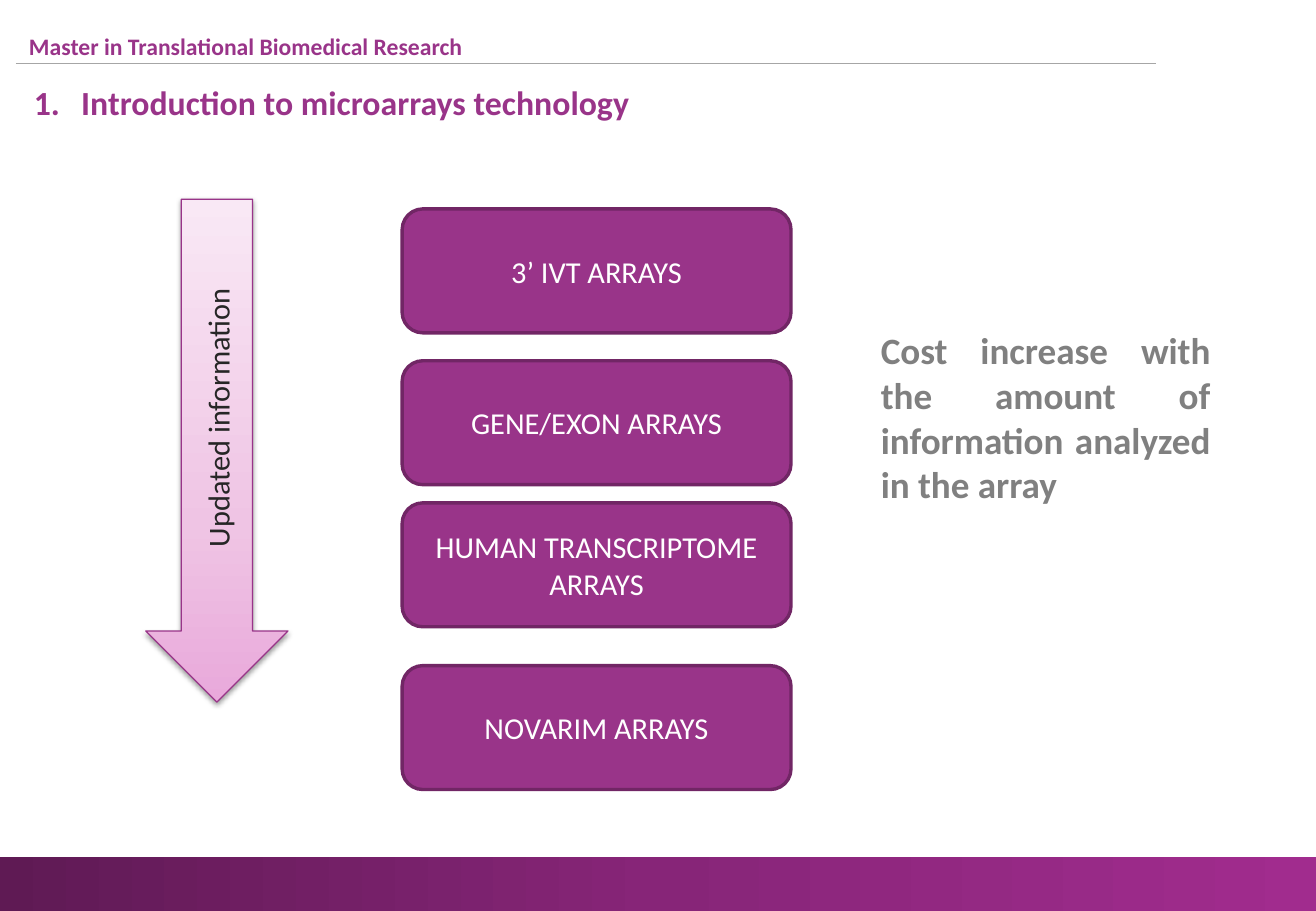
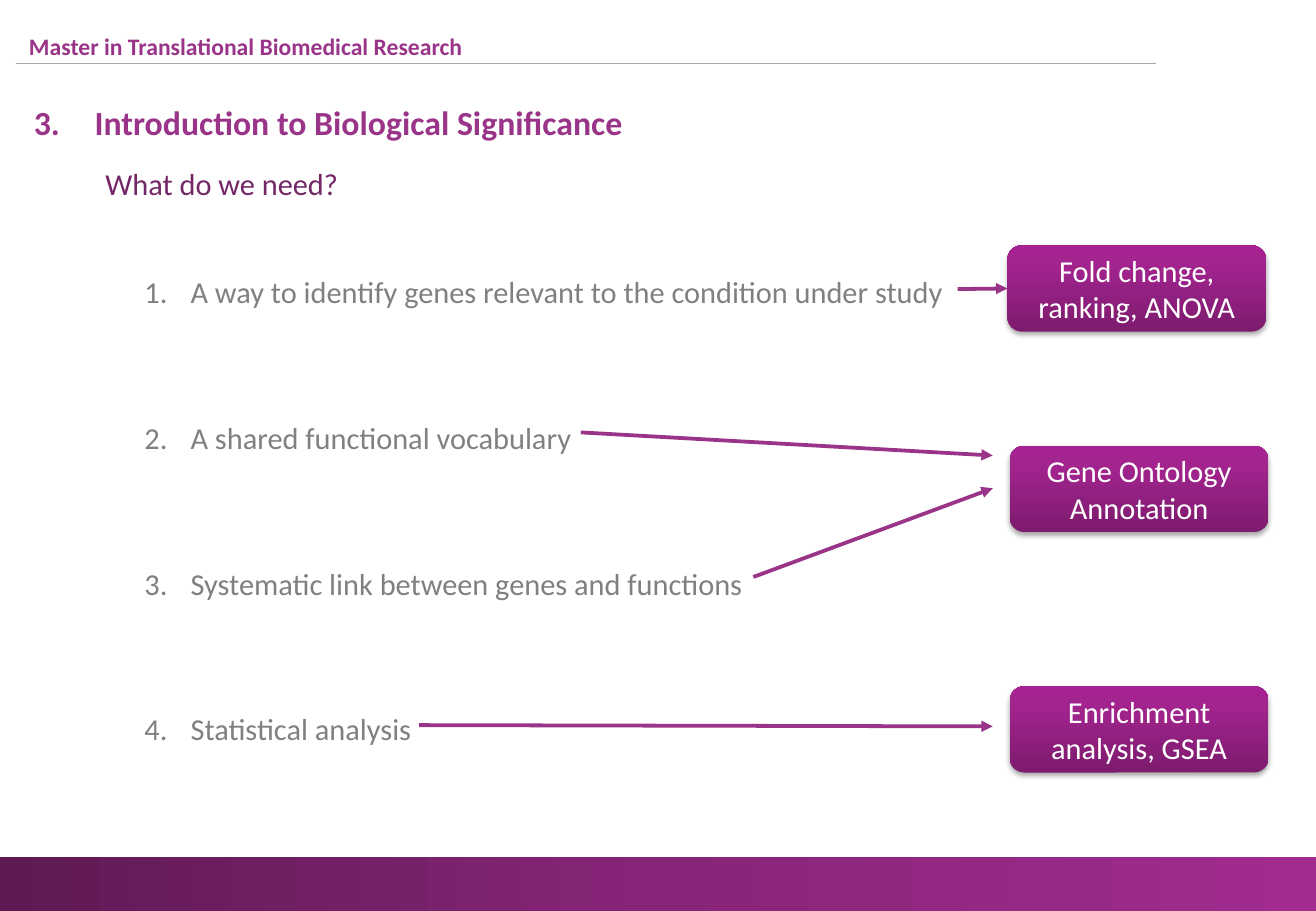
from pptx import Presentation
from pptx.dml.color import RGBColor
from pptx.enum.shapes import MSO_CONNECTOR as Conn, MSO_SHAPE as Geo
from pptx.enum.text import MSO_ANCHOR as Anchor, MSO_AUTO_SIZE as Fit, PP_ALIGN as Align
from pptx.oxml import parse_xml
from pptx.oxml.ns import nsdecls, qn
from pptx.util import Inches, Pt
from lxml.etree import SubElement as Sub

FONT = "Calibri"
PLUM, EDGE, DARK = "993489", "712665", "732767"
GREY, INK, WHITE, RULE = "808080", "262626", "FFFFFF", "A6A6A6"
BAND = [(0, "5F1A54"), (50, "872578"), (100, "A12C8E")]
PINK = [(0, "E9A9DB"), (35, "EFC4E4"), (100, "F9E8F5")]
GLOSS = [(0, "7D1B6E"), (80, "A3248F"), (100, "A62191")]


def rgb(code):
    return RGBColor.from_string(code)


def style(frame, text, size, color, bold=False, align=Align.LEFT):
    frame.text = text
    for para in frame.paragraphs:
        para.alignment = align
        for run in para.runs:
            font = run.font
            font.name, font.size, font.bold = FONT, Pt(size), bold
            font.color.rgb = rgb(color)


def label(slide, place, text, size, color, bold=False, align=Align.LEFT, wrap=True):
    box = slide.shapes.add_textbox(*map(Inches, place))
    frame = box.text_frame
    frame.word_wrap = wrap
    frame.auto_size = Fit.SHAPE_TO_FIT_TEXT
    style(frame, text, size, color, bold, align)
    return box


def number(paras, indent, start=1):
    """Give the paragraphs automatic numbers with a hanging indent."""
    for para in paras:
        props = para._p.get_or_add_pPr()
        props.set("marL", str(Inches(indent)))
        props.set("indent", str(-Inches(indent)))
        auto = Sub(props, qn("a:buAutoNum"), type="arabicPeriod")
        if start > 1:
            auto.set("startAt", str(start))


def blend(shape, stops, angle):
    """Fill with a gradient of (percent, colour) stops; angle is counterclockwise."""
    shape.fill.gradient()
    shape.fill.gradient_angle = angle
    holder = shape.element.spPr.find(".//" + qn("a:gsLst"))
    for old in list(holder):
        holder.remove(old)
    for spot, color in stops:
        stop = Sub(holder, qn("a:gs"), pos=str(spot * 1000))
        Sub(stop, qn("a:srgbClr"), val=color)


def shade(shape, alpha, dist):
    effects = shape.element.spPr.find(qn("a:effectLst"))
    effects.append(parse_xml(
        f'<a:outerShdw {nsdecls("a")} blurRad="{Pt(3.1)}" dist="{Pt(dist)}" '
        f'dir="5400000" rotWithShape="0"><a:srgbClr val="000000">'
        f'<a:alpha val="{alpha * 1000}"/></a:srgbClr></a:outerShdw>'))


def block(slide, geo, place, edge=None, width=0):
    shape = slide.shapes.add_shape(geo, *map(Inches, place))
    shape.shadow.inherit = False
    if edge:
        shape.line.color.rgb = rgb(edge)
        shape.line.width = Pt(width)
    else:
        shape.line.fill.background()
    return shape


def card(slide, place, text, edge=None):
    """Rounded box: flat with an outline, or glossy with a shadow."""
    shape = block(slide, Geo.ROUNDED_RECTANGLE, place, edge, 2)
    if edge:
        shape.fill.solid()
        shape.fill.fore_color.rgb = rgb(PLUM)
    else:
        blend(shape, GLOSS, 90)
        shade(shape, 35, 1.8)
    frame = shape.text_frame
    frame.word_wrap = True
    frame.vertical_anchor = Anchor.MIDDLE
    style(frame, text, 18, WHITE, align=Align.CENTER)
    return shape


def line(slide, start, end, color=PLUM, width=2.25, head=True):
    link = slide.shapes.add_connector(Conn.STRAIGHT, *map(Inches, start + end))
    link.line.color.rgb = rgb(color)
    link.line.width = Pt(width)
    props = link.element.spPr
    if head:
        Sub(props.find(qn("a:ln")), qn("a:tailEnd"), type="triangle")
    Sub(props, qn("a:effectLst"))
    return link


def page(deck):
    """Add a slide with the shared band, rule and course name."""
    slide = deck.slides.add_slide(deck.slide_layouts[6])
    blend(block(slide, Geo.RECTANGLE, (0, 7.06, 10.83, 0.44)), BAND, 0)
    line(slide, (0.13, 0.52), (9.51, 0.52), RULE, 0.75, head=False)
    label(slide, (0.14, 0.21, 7.01, 0.34),
          "Master in Translational Biomedical Research", 14, PLUM, True)
    return slide


def title(slide, text, size, indent, start=1, spacing=None):
    box = label(slide, (0.18, 0.62, *size), text, 20, PLUM, True, wrap=False)
    para = box.text_frame.paragraphs[0]
    para.line_spacing = spacing
    number([para], indent, start)


def arrays(deck):
    slide = page(deck)
    title(slide, "Introduction to microarrays technology", (5.15, 0.44), 0.39)
    arrow = block(slide, Geo.DOWN_ARROW, (1.2, 1.64, 1.17, 4.14), PLUM, 0.75)
    blend(arrow, PINK, 90)
    shade(arrow, 38, 1.6)
    label(slide, (0.61, 3.24, 2.36, 0.4), "Updated information", 18, INK,
          align=Align.CENTER, wrap=False).rotation = 270
    for top, text in ((1.72, "3’ IVT ARRAYS"), (2.97, "GENE/EXON ARRAYS"),
                      (4.14, "HUMAN TRANSCRIPTOME ARRAYS"), (5.48, "NOVARIM ARRAYS")):
        card(slide, (3.31, top, 3.2, 1.02), text, EDGE)
    label(slide, (7.15, 2.65, 2.91, 1.58),
          "Cost increase with the amount of information analyzed in the array",
          22, GREY, True, Align.JUSTIFY)


def needs(deck):
    slide = page(deck)
    title(slide, "Introduction to Biological Significance", (5.09, 0.55), 0.5, 3, 1.5)
    label(slide, (0.77, 1.31, 8.66, 0.4), "What do we need?", 18, DARK)
    steps = ("A way to identify genes relevant to the condition under study",
             "A shared functional vocabulary",
             "Systematic link between genes and functions",
             "Statistical analysis")
    box = label(slide, (1.09, 1.9, 8.98, 4.95), "\n".join(steps), 18, GREY)
    paras = box.text_frame.paragraphs
    for para in paras:
        para.line_spacing = 2.0
    for para in paras[1:]:
        para.space_before = Pt(43.2)
    number(paras, 0.38)

    size = (2.13, 0.71)
    tests = card(slide, (8.29, 2.02, *size), "Fold change, ranking, ANOVA")
    card(slide, (8.31, 3.67, *size), "Gene Ontology\nAnnotation")
    card(slide, (8.31, 5.65, *size), "Enrichment analysis, GSEA")
    line(slide, (7.88, 2.38), (8.29, 2.38)).end_connect(tests, 1)
    for start, end in (((4.78, 3.56), (8.17, 3.75)), ((6.2, 4.75), (8.17, 4.02)),
                       ((3.45, 5.97), (8.17, 5.98))):
        line(slide, start, end)


def main():
    deck = Presentation()
    deck.slide_width, deck.slide_height = Inches(10.83), Inches(7.5)
    arrays(deck)
    needs(deck)
    deck.save("out.pptx")


if __name__ == "__main__":
    main()
